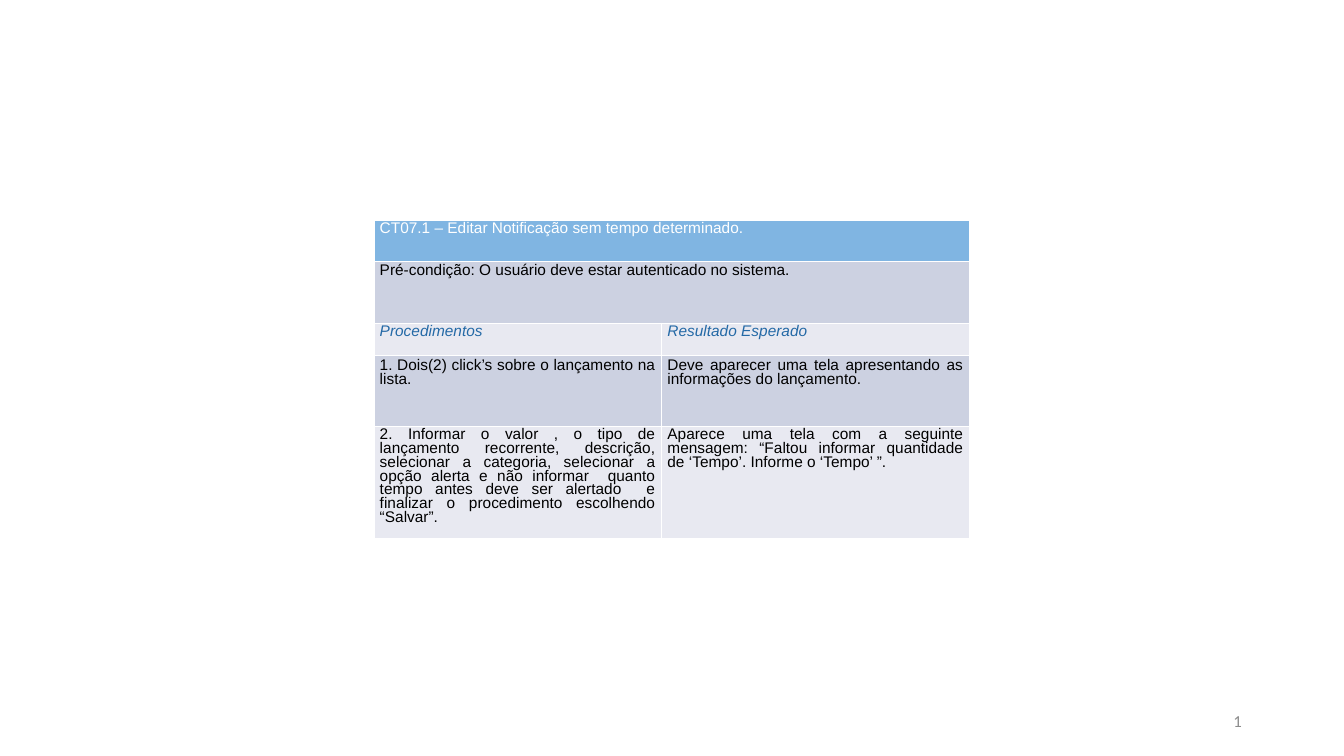
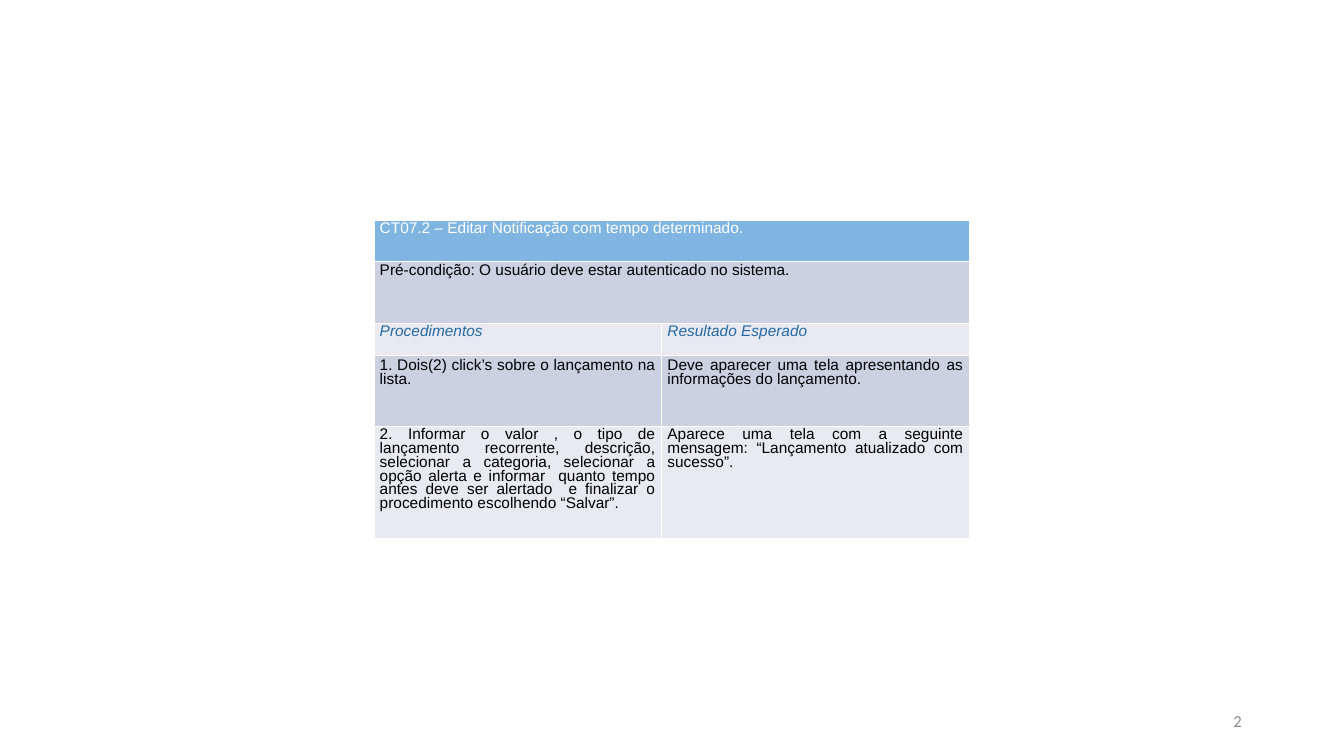
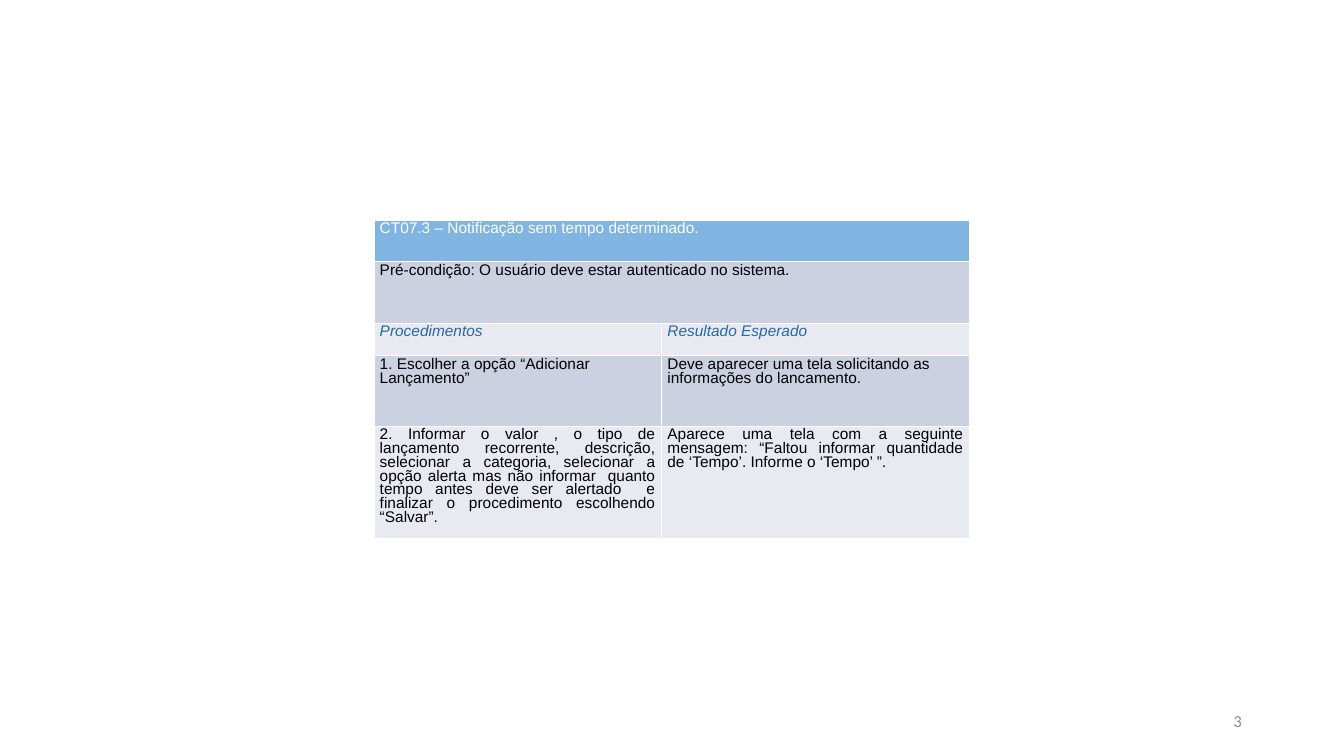
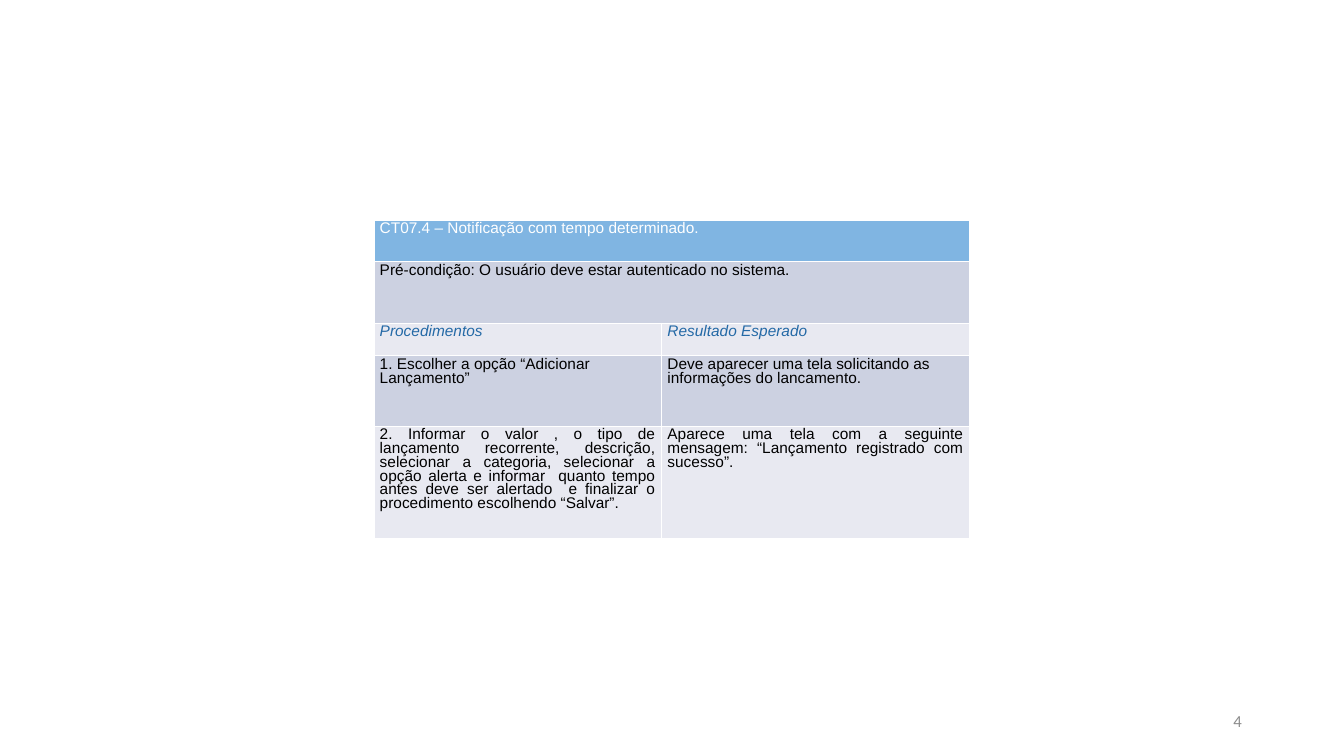
from lxml import etree
from pptx import Presentation, util as u
from pptx.dml.color import RGBColor
from pptx.enum import text as t
from pptx.oxml.ns import qn

# Shared look
COLORS = {
    "white": "FFFFFF", "black": "000000", "header": "80B5E2",
    "band_dark": "CCD1E1", "band_light": "E8E9F1",
    "accent": "2469A6", "number": "8C8C8C",
}
COLUMN_WIDTHS = [7.25, 7.76]
ROW_HEIGHTS = [1.04, 1.55, 0.82, 1.78, 2.82]
ROW_FILLS = ["header", "band_dark", "band_light", "band_dark", "band_light"]
ROW_COLORS = ["white", "black", "accent", "black", "black"]
HEADINGS_ROW, FIRST_STEP, LAST_STEP = 2, 3, 4
BORDER_WIDTH = u.Pt(0.06)
LEFT, JUSTIFY = t.PP_ALIGN.LEFT, t.PP_ALIGN.JUSTIFY

# Wording of the test cases
PRECONDITION = "Pré-condição: O usuário deve estar autenticado no sistema."
HEADINGS = ["Procedimentos", "Resultado Esperado"]
OPEN_ENTRY = ["1. Dois(2) click’s sobre o lançamento na lista.",
              "Deve aparecer uma tela apresentando as informações do lançamento."]
ADD_ENTRY = ["1. Escolher a opção “Adicionar Lançamento”",
             "Deve aparecer uma tela solicitando as informações do lancamento."]
FILL_IN = ("2. Informar o valor , o tipo de lançamento recorrente, descrição, "
           "selecionar a categoria, selecionar a opção alerta {} informar  quanto "
           "tempo antes deve ser alertado  e finalizar o procedimento escolhendo “Salvar”.")
MESSAGE = "Aparece uma tela com a seguinte mensagem: “{}”."
MISSING_TIME = "Faltou informar quantidade de ‘Tempo’. Informe o ‘Tempo’ "

# Title, first step, its alignment and line spacing, alert wording, message
TEST_CASES = [
    ("CT07.1 – Editar Notificação sem tempo determinado.",
     OPEN_ENTRY, JUSTIFY, 0.86, "e não", MISSING_TIME),
    ("CT07.2 – Editar Notificação com tempo determinado.",
     OPEN_ENTRY, JUSTIFY, 0.86, "e", "Lançamento atualizado com sucesso"),
    ("CT07.3 – Notificação sem tempo determinado.",
     ADD_ENTRY, LEFT, 0.8, "mas não", MISSING_TIME),
    ("CT07.4 – Notificação com tempo determinado.",
     ADD_ENTRY, LEFT, 0.8, "e", "Lançamento registrado com sucesso"),
]


def write(frame, wording, size=11, font="Arial", color="black", italic=False,
          align=LEFT, spacing=1.0):
    paragraph = frame.paragraphs[0]
    paragraph.alignment = align
    paragraph.line_spacing = spacing
    run = paragraph.add_run()
    run.text = wording
    run.font.size = u.Pt(size)
    run.font.name = font
    run.font.italic = italic
    run.font.color.rgb = RGBColor.from_string(COLORS[color])
    return run


def format_cell(cell, fill):
    cell.margin_left = cell.margin_right = u.Cm(0.15)
    cell.margin_top = cell.margin_bottom = u.Cm(0.08)
    cell.fill.solid()
    cell.fill.fore_color.rgb = RGBColor.from_string(COLORS[fill])
    properties = cell._tc.get_or_add_tcPr()
    for position, side in enumerate(["a:lnL", "a:lnR", "a:lnT", "a:lnB"]):
        border = etree.Element(qn(side), w=str(int(BORDER_WIDTH)))
        solid = etree.SubElement(border, qn("a:solidFill"))
        etree.SubElement(solid, qn("a:srgbClr"), val=COLORS["white"])
        properties.insert(position, border)


prs = Presentation()
prs.slide_width, prs.slide_height = u.Cm(33.87), u.Cm(19.05)
blank = prs.slide_layouts[6]

for number, (title, first_step, step_align, step_spacing, alert, message) in enumerate(TEST_CASES, 1):
    slide = prs.slides.add_slide(blank)

    # Slide number as a live field
    footer = slide.shapes.add_textbox(u.Cm(23.93), u.Cm(17.65), u.Cm(7.62), u.Cm(1.01)).text_frame
    footer.word_wrap = True
    footer.vertical_anchor = t.MSO_ANCHOR.MIDDLE
    digit = write(footer, str(number), size=12, font="Calibri", color="number",
                  align=t.PP_ALIGN.RIGHT)._r
    field = etree.Element(qn("a:fld"), type="slidenum",
                          id="{B6F15528-21DE-4FAA-801E-634DDDAF4B2B}")
    digit.getparent().replace(digit, field)
    field.extend(list(digit))

    # Test case table
    test_case = slide.shapes.add_table(
        len(ROW_HEIGHTS), len(COLUMN_WIDTHS), u.Cm(9.42), u.Cm(5.54),
        u.Cm(sum(COLUMN_WIDTHS)), u.Cm(sum(ROW_HEIGHTS))).table
    for column, width in zip(test_case.columns, COLUMN_WIDTHS):
        column.width = u.Cm(width)
    for row, height in zip(test_case.rows, ROW_HEIGHTS):
        row.height = u.Cm(height)

    last_step = [FILL_IN.format(alert), MESSAGE.format(message)]
    rows = [[title], [PRECONDITION], HEADINGS, first_step, last_step]
    for r, wordings in enumerate(rows):
        for cell in test_case.rows[r].cells:
            format_cell(cell, ROW_FILLS[r])
        if len(wordings) == 1:
            test_case.cell(r, 0).merge(test_case.cell(r, 1))
        align = {FIRST_STEP: step_align, LAST_STEP: JUSTIFY}.get(r, LEFT)
        for c, wording in enumerate(wordings):
            write(test_case.cell(r, c).text_frame, wording, color=ROW_COLORS[r],
                  italic=r == HEADINGS_ROW, align=align,
                  spacing=step_spacing if r == FIRST_STEP else 0.8)

prs.save("out.pptx")
